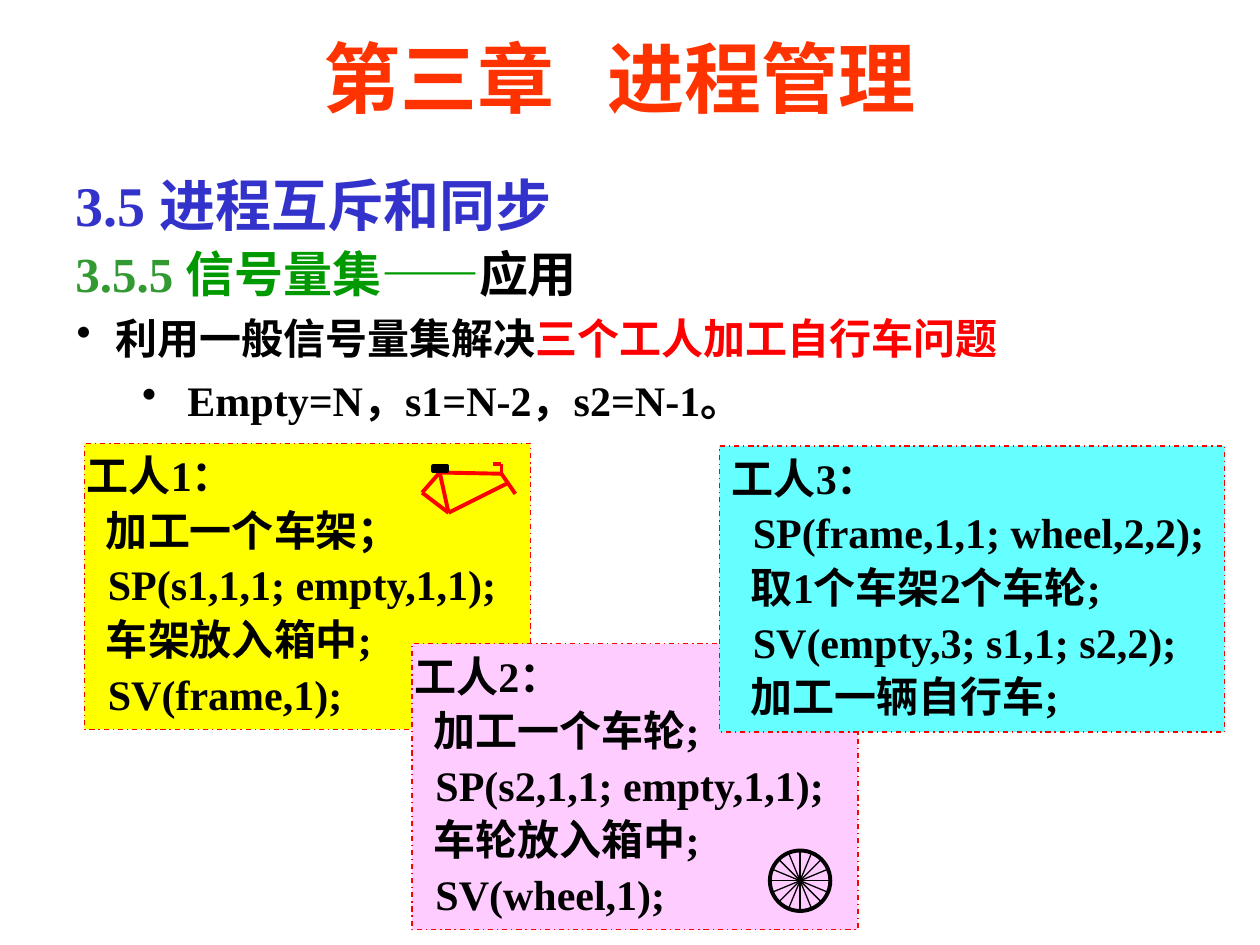
import math

from lxml import etree
from pptx import Presentation
from pptx.dml.color import RGBColor
from pptx.enum import dml, shapes, text
from pptx.oxml.ns import qn
from pptx.util import Inches, Pt

FONT = "Times New Roman"


def rgb(value):
    return RGBColor.from_string(value)


def draw_line(start, end, color, width):
    points = [Inches(value) for value in (*start, *end)]
    line = page.shapes.add_connector(shapes.MSO_CONNECTOR.STRAIGHT, *points)
    line.line.color.rgb = rgb(color)
    line.line.width = Pt(width)
    etree.SubElement(line._element.spPr, qn("a:effectLst"))


deck = Presentation()
deck.slide_width, deck.slide_height = Inches(10), Inches(7.5)
page = deck.slides.add_slide(deck.slide_layouts[5])

# Chapter title
title = page.shapes.title
title.left, title.top = Inches(1.17), Inches(0.07)
title.width, title.height = Inches(7.5), Inches(1.08)
frame = title.text_frame
frame.text = "第三章   进程管理"
frame.auto_size = text.MSO_AUTO_SIZE.NONE
frame.vertical_anchor = text.MSO_ANCHOR.MIDDLE
para = frame.paragraphs[0]
para.alignment = text.PP_ALIGN.CENTER
para.font.name, para.font.size, para.font.bold = FONT, Pt(44), True
para.font.color.rgb = rgb("FF3300")

# Section headings
box = page.shapes.add_textbox(Inches(0.5), Inches(1.25), Inches(9.08), Inches(1.2))
box.text_frame.word_wrap = True
para = box.text_frame.paragraphs[0]
para.line_spacing = 1.1
para.font.name, para.font.bold = FONT, True
headings = [
    [("3.5 进程互斥和同步", 32, "3333CC")],
    [("3.5.5 ", 28, "339933"), ("信号量集——", 28, "009900"), ("应用", 28, "000000")],
]
for row, spans in enumerate(headings):
    if row:
        para.add_line_break()
    for words, size, color in spans:
        span = para.add_run()
        span.text = words
        span.font.size = Pt(size)
        span.font.color.rgb = rgb(color)

# Bullets
box = page.shapes.add_textbox(Inches(0.51), Inches(2.39), Inches(8.43), Inches(1.04))
frame = box.text_frame
frame.word_wrap = True
bullets = [
    (0.31, -0.31, [("利用一般信号量集解决", "000000"), ("三个工人加工自行车问题", "FF0000")]),
    (0.88, -0.36, [("Empty=N，s1=N-2，s2=N-1。", "000000")]),
]
for level, (margin, indent, spans) in enumerate(bullets):
    para = frame.add_paragraph() if level else frame.paragraphs[0]
    para.level = level
    para.line_spacing = 1.1
    if level:
        para.space_before = Pt(3.6)
    props = para._p.get_or_add_pPr()
    props.set("marL", str(Inches(margin)))
    props.set("indent", str(Inches(indent)))
    etree.SubElement(props, qn("a:buChar")).set("char", "•")
    para.font.name, para.font.size, para.font.bold = FONT, Pt(24), True
    for words, color in spans:
        span = para.add_run()
        span.text = words
        span.font.color.rgb = rgb(color)

# Worker programs: left, top, width, side inset, fill, lines
workers = [
    (0.67, 3.52, 3.54, 0.02, "FFFF00",
     ["工人1：", "  加工一个车架；", "  SP(s1,1,1; empty,1,1);",
      "  车架放入箱中;", "  SV(frame,1);"]),
    (3.27, 5.11, 3.54, 0.02, "FFCCFF",
     ["工人2：", "  加工一个车轮;", "  SP(s2,1,1; empty,1,1);",
      "  车轮放入箱中;", "  SV(wheel,1);"]),
    (5.71, 3.54, 4.01, 0.1, "66FFFF",
     ["工人3：", "  SP(frame,1,1; wheel,2,2);", "  取1个车架2个车轮;",
      "  SV(empty,3; s1,1; s2,2);", "  加工一辆自行车;"]),
]
for left, top, width, inset, fill, lines in workers:
    box = page.shapes.add_shape(shapes.MSO_SHAPE.RECTANGLE, Inches(left),
                                Inches(top), Inches(width), Inches(2.27))
    box.shadow.inherit = False
    box.fill.solid()
    box.fill.fore_color.rgb = rgb(fill)
    box.line.color.rgb = rgb("FF0000")
    box.line.width = Pt(0.75)
    box.line.dash_style = dml.MSO_LINE.DASH_DOT
    frame = box.text_frame
    frame.word_wrap = True
    frame.vertical_anchor = text.MSO_ANCHOR.TOP
    frame.margin_left = frame.margin_right = Inches(inset)
    for row, words in enumerate(lines):
        para = frame.add_paragraph() if row else frame.paragraphs[0]
        para.text = words
        para.alignment = text.PP_ALIGN.LEFT
        if row:
            para.space_before = Pt(2.4)
        para.font.name, para.font.size, para.font.bold = FONT, Pt(24), True
        para.font.color.rgb = rgb("000000")

# Bicycle frame
seat, rear, pedal = (3.49, 3.75), (3.35, 3.91), (3.56, 4.07)
head, fork, down_tube = (3.98, 3.76), (4.09, 3.92), (4.02, 3.84)
stem, grip = (3.98, 3.68), (3.91, 3.68)
tubes = [(seat, rear), (rear, pedal), (seat, pedal), (pedal, down_tube),
         (seat, head), (head, fork), (grip, stem), (stem, head)]
for start, end in tubes:
    draw_line(start, end, "FF0000", 2.25)
saddle = page.shapes.add_shape(shapes.MSO_SHAPE.RECTANGLE, Inches(3.44),
                               Inches(3.7), Inches(0.11), Inches(0.04))
saddle.shadow.inherit = False
saddle.fill.solid()
saddle.fill.fore_color.rgb = rgb("000000")
saddle.line.color.rgb = rgb("000000")
saddle.line.width = Pt(2.25)

# Wheel
hub_x, hub_y, radius = 6.35, 6.99, 0.24
rim = page.shapes.add_shape(shapes.MSO_SHAPE.OVAL, Inches(hub_x - radius),
                            Inches(hub_y - radius), Inches(2 * radius), Inches(2 * radius))
rim.shadow.inherit = False
rim.fill.background()
rim.line.color.rgb = rgb("000000")
rim.line.width = Pt(2.25)
for spoke in range(8):
    angle = spoke * math.pi / 8
    dx, dy = radius * math.cos(angle), radius * math.sin(angle)
    draw_line((hub_x - dx, hub_y - dy), (hub_x + dx, hub_y + dy), "000000", 0.75)

deck.save("out.pptx")
